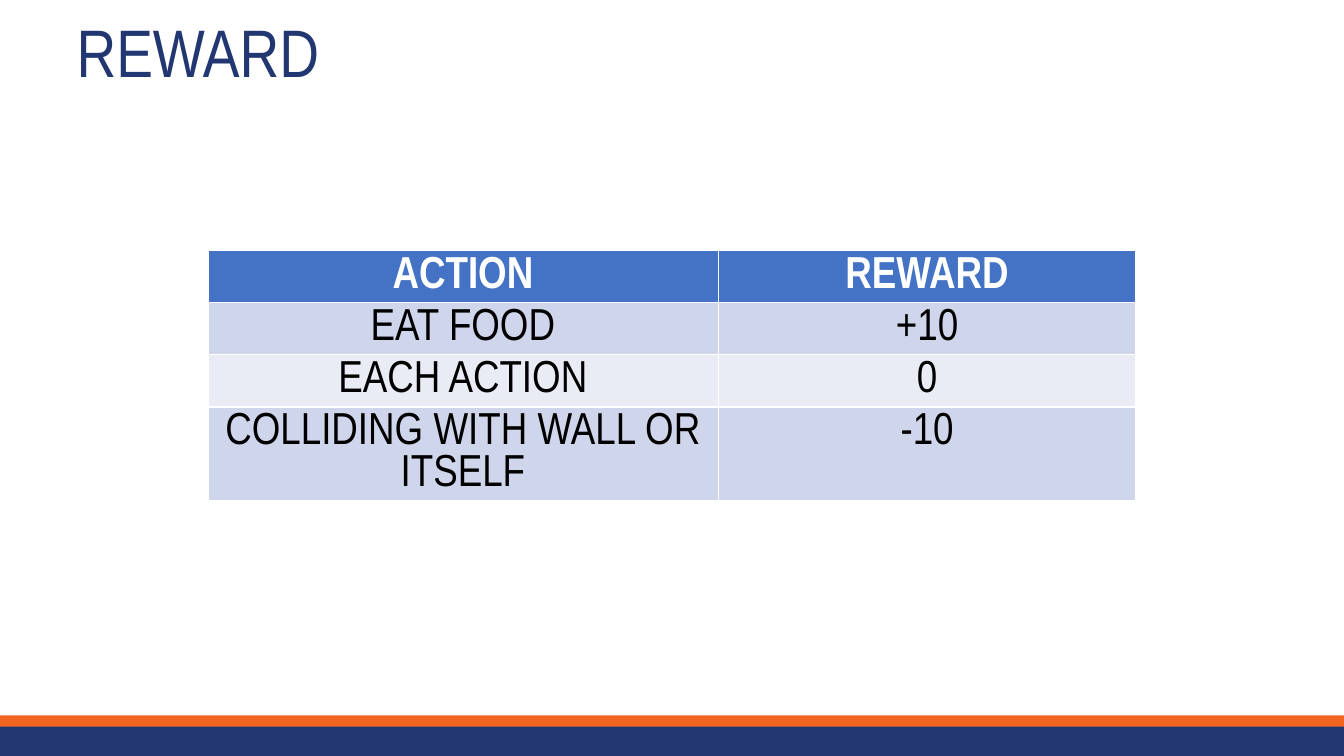
from dataclasses import dataclass

from pptx import Presentation
from pptx.dml.color import RGBColor
from pptx.enum.shapes import MSO_SHAPE
from pptx.enum.text import MSO_ANCHOR, PP_ALIGN
from pptx.util import Pt

RECTANGLE = MSO_SHAPE.RECTANGLE
MIDDLE = MSO_ANCHOR.MIDDLE
LEFT, CENTER = PP_ALIGN.LEFT, PP_ALIGN.CENTER
TITLE_ONLY = 5


@dataclass(frozen=True)
class Theme:
    font: str = "Arial Narrow"
    navy: str = "223771"
    orange: str = "F26522"
    header: str = "4472C4"
    bands: tuple = ("CFD5EA", "E9EBF5")
    white: str = "FFFFFF"
    black: str = "000000"
    title_size: int = 48
    table_size: int = 32


THEME = Theme()
SLIDE_WIDTH, SLIDE_HEIGHT = 960, 540
REWARDS = [
    ("ACTION", "REWARD"),
    ("EAT FOOD", "+10"),
    ("EACH ACTION", "0"),
    ("COLLIDING WITH WALL OR ITSELF", "-10"),
]


def set_fill(item, color):
    item.fill.solid()
    item.fill.fore_color.rgb = RGBColor.from_string(color)


def write(frame, text, size, color, align, bold=False):
    para = frame.paragraphs[0]
    para.alignment = align
    span = para.add_run()
    span.text = text
    formats = {"name": THEME.font, "size": Pt(size), "bold": bold}
    for name, value in formats.items():
        setattr(span.font, name, value)
    span.font.color.rgb = RGBColor.from_string(color)
    return para


def place_title(page, text, left, top, width, height):
    title = page.shapes.title
    bounds = {"left": left, "top": top, "width": width, "height": height}
    for name, value in bounds.items():
        setattr(title, name, Pt(value))
    title.text_frame.vertical_anchor = MIDDLE
    para = write(title.text_frame, text, THEME.title_size, THEME.navy, LEFT)
    para.line_spacing = 0.9


def add_band(page, top, height, color):
    """Draw a bar across the full slide width."""
    band = page.shapes.add_shape(RECTANGLE, 0, Pt(top), Pt(SLIDE_WIDTH), Pt(height))
    band.shadow.inherit = False
    set_fill(band, color)
    band.line.fill.background()


def add_reward_table(page, rows, left, top, column_widths, row_height):
    table = page.shapes.add_table(
        len(rows), len(column_widths), Pt(left), Pt(top),
        Pt(sum(column_widths)), Pt(row_height * len(rows)),
    ).table
    for column, width in zip(table.columns, column_widths):
        column.width = Pt(width)
    for index, texts in enumerate(rows):
        is_header = index == 0
        fill = THEME.header if is_header else THEME.bands[(index - 1) % 2]
        color = THEME.white if is_header else THEME.black
        for cell, text in zip(table.rows[index].cells, texts):
            set_fill(cell, fill)
            write(cell.text_frame, text, THEME.table_size, color, CENTER, is_header)


def main():
    deck = Presentation()
    deck.slide_width, deck.slide_height = Pt(SLIDE_WIDTH), Pt(SLIDE_HEIGHT)
    page = deck.slides.add_slide(deck.slide_layouts[TITLE_ONLY])
    add_band(page, 511, 8.5, THEME.orange)
    add_band(page, 519, 21, THEME.navy)
    place_title(page, "REWARD", 47.5, 18, 612.5, 44)
    add_reward_table(page, REWARDS, 148.5, 179, (364.5, 298.5), 29.2)
    deck.save("out.pptx")


if __name__ == "__main__":
    main()
